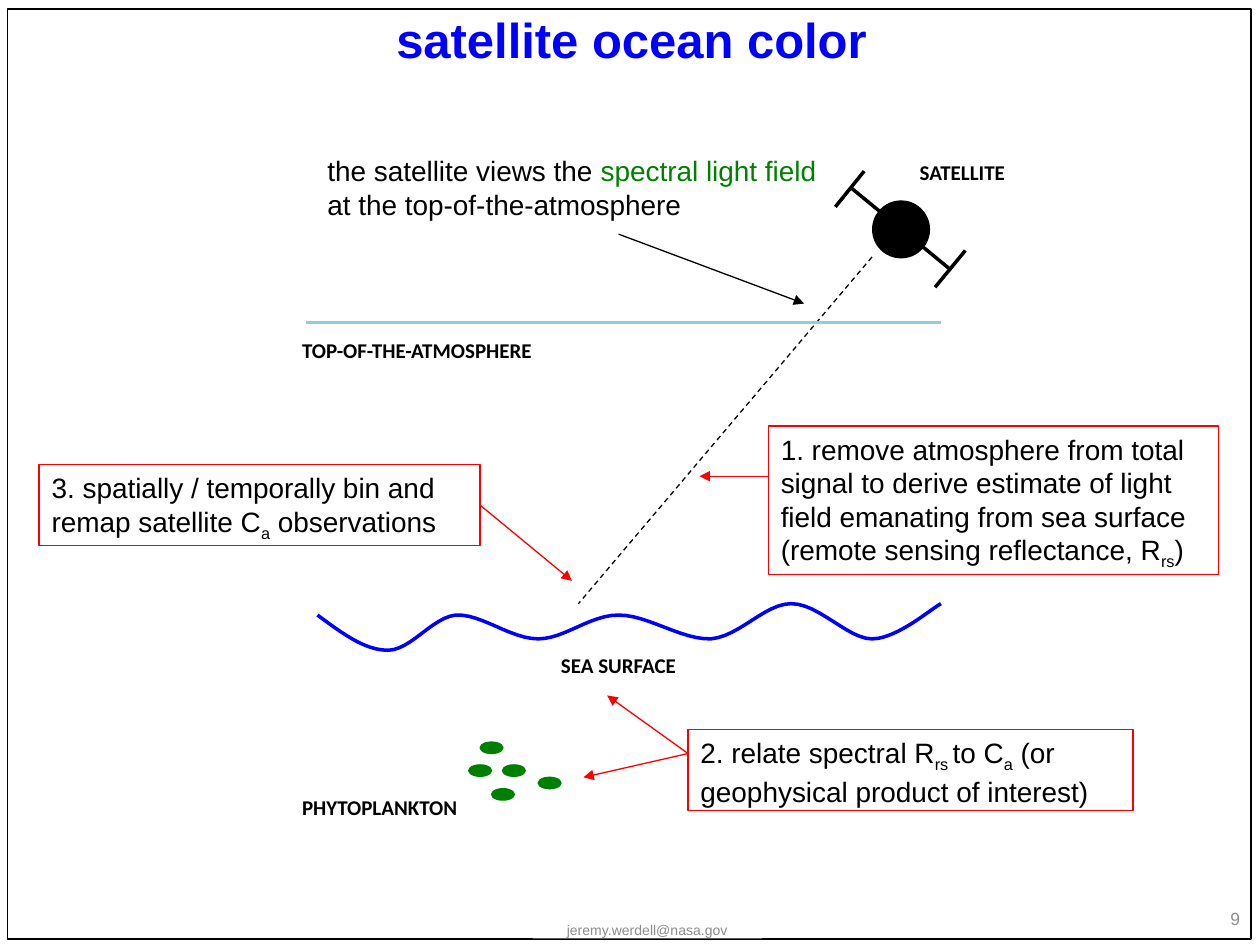
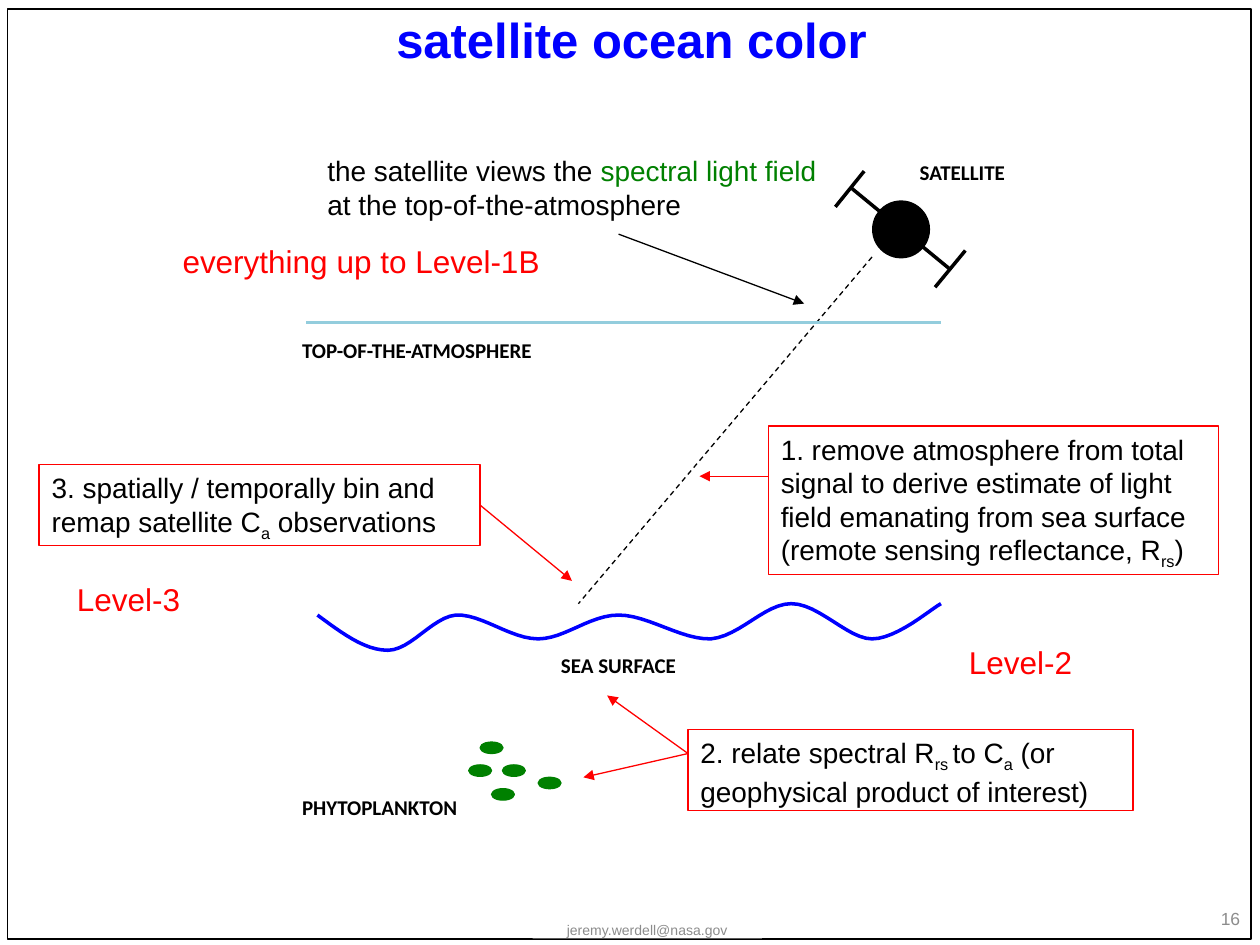
from dataclasses import dataclass

from lxml.etree import SubElement
from pptx import Presentation
from pptx.dml.color import RGBColor
from pptx.enum.dml import MSO_LINE
from pptx.enum.shapes import MSO_CONNECTOR, MSO_SHAPE
from pptx.enum.text import MSO_ANCHOR as ANCHOR, PP_ALIGN as ALIGN
from pptx.oxml.ns import qn
from pptx.util import Cm, Pt


@dataclass(frozen=True)
class Theme:
    black: str = "000000"
    white: str = "FFFFFF"
    blue: str = "0000FF"
    green: str = "008000"
    red: str = "FF0000"
    sky: str = "93CDDD"
    gray: str = "8C8C8C"
    font: str = "Arial"
    label_font: str = "Calibri"
    title_size: int = 28
    level_size: int = 18
    body_size: int = 16
    label_size: int = 12
    number_size: int = 10
    footer_size: int = 8
    thin: float = 0.75
    thick: float = 2


T = Theme()
RIGHT_SIDE = 3
CURVE_STEPS = 12

WAVE_START = (6.4, 12.4)
WAVE_CURVES = [
    ((6.88, 12.75), (7.34, 13.11), (7.82, 13.11)),
    ((8.28, 13.11), (8.71, 12.45), (9.19, 12.4)),
    ((9.7, 12.37), (10.29, 12.88), (10.85, 12.88)),
    ((11.38, 12.88), (11.89, 12.4), (12.47, 12.4)),
    ((13.06, 12.4), (13.74, 12.9), (14.33, 12.88)),
    ((14.91, 12.83), (15.42, 12.17), (15.95, 12.17)),
    ((16.51, 12.17), (17.09, 12.88), (17.58, 12.88)),
    ((18.08, 12.88), (18.75, 12.29), (18.97, 12.17)),
]
PHYTOPLANKTON = [(9.45, 15.42), (9.91, 15.9), (10.13, 15.42), (10.85, 15.67), (9.68, 14.96)]
SATELLITE_BARS = [
    ((17.15, 3.78), (19.13, 5.41)),
    ((17.42, 3.45), (16.84, 4.17)),
    ((19.46, 5.05), (18.85, 5.79)),
]
LABELS = [
    ("TOP-OF-THE-ATMOSPHERE", (5.84, 6.68, 6.86, 0.84), ALIGN.LEFT),
    ("SATELLITE", (18.29, 3.1, 3.25, 0.84), ALIGN.LEFT),
    ("PHYTOPLANKTON", (5.84, 15.9, 5.72, 0.84), ALIGN.LEFT),
    ("SEA SURFACE", (9.09, 13.03, 6.76, 0.84), ALIGN.CENTER),
]
LEVELS = [
    ("everything up to Level-1B", (3.43, 4.75, 8.79, 1.02)),
    ("Level-2", (19.28, 12.83, 2.87, 1.02)),
    ("Level-3", (1.3, 11.56, 2.87, 1.02)),
]


def rgb(color):
    return RGBColor.from_string(color)


def curve_points(start, curves):
    for c1, c2, end in curves:
        for step in range(1, CURVE_STEPS + 1):
            t = step / CURVE_STEPS
            u = 1 - t
            yield tuple(
                Cm(u**3 * a + 3 * u * u * t * b + 3 * u * t * t * c + t**3 * d)
                for a, b, c, d in zip(start, c1, c2, end)
            )
        start = end


class Deck:
    def __init__(self):
        self.prs = Presentation()
        self.prs.slide_width, self.prs.slide_height = Cm(25.4), Cm(19.05)
        self.s = None

    def slide(self, title, number):
        self.s = self.prs.slides.add_slide(self.prs.slide_layouts[5])
        self.shape((0.15, 0.18, 25.07, 18.75), line=T.black)
        footer = self.shape((10.74, 18.59, 4.62, 0.33), fill=T.white)
        footer.text_frame.margin_top = footer.text_frame.margin_bottom = 0
        self.set_text(footer, ["jeremy.werdell@nasa.gov"], T.footer_size, T.gray,
                      align=ALIGN.CENTER, anchor=ANCHOR.MIDDLE)
        self.text((24.13, 18.14, 1.12, 0.74), [number], T.number_size, T.gray,
                  align=ALIGN.RIGHT, anchor=ANCHOR.MIDDLE)
        sp = self.s.shapes.title
        sp.left, sp.top, sp.width, sp.height = map(Cm, (1.3, 0.23, 22.86, 1.12))
        self.set_text(sp, [title], T.title_size, T.blue, bold=True,
                      align=ALIGN.CENTER, anchor=ANCHOR.MIDDLE)

    def set_text(self, sp, runs, size, color=T.black, font=T.font, bold=False,
                 align=ALIGN.LEFT, anchor=ANCHOR.TOP):
        tf = sp.text_frame
        tf.word_wrap = True
        tf.vertical_anchor = anchor
        p = tf.paragraphs[0]
        p.alignment = align
        p.font.name, p.font.size, p.font.bold = font, Pt(size), bold
        p.font.color.rgb = rgb(color)
        for run in runs:
            text, style = (run, None) if isinstance(run, str) else run
            r = p.add_run()
            r.text = text
            if style == "sub":
                r.font._element.set("baseline", "-25000")
            elif style:
                r.font.color.rgb = rgb(style)

    def text(self, box, runs, size, *args, **style):
        sp = self.s.shapes.add_textbox(*map(Cm, box))
        self.set_text(sp, runs, size, *args, **style)

    def paint(self, sp, fill, line, weight):
        sp.shadow.inherit = False
        if fill:
            sp.fill.solid()
            sp.fill.fore_color.rgb = rgb(fill)
        else:
            sp.fill.background()
        if line:
            sp.line.color.rgb = rgb(line)
            sp.line.width = Pt(weight)
        else:
            sp.line.fill.background()

    def shape(self, box, kind=MSO_SHAPE.RECTANGLE, fill=None, line=None):
        sp = self.s.shapes.add_shape(kind, *map(Cm, box))
        self.paint(sp, fill, line, T.thin)
        return sp

    def curve(self, start, curves, color):
        builder = self.s.shapes.build_freeform(*map(Cm, start))
        builder.add_line_segments(curve_points(start, curves), close=False)
        self.paint(builder.convert_to_shape(), None, color, T.thick)

    def line(self, start, end, color=T.black, weight=T.thin, dashed=False, arrow=False):
        cx = self.s.shapes.add_connector(MSO_CONNECTOR.STRAIGHT, *map(Cm, start + end))
        cx.line.color.rgb = rgb(color)
        cx.line.width = Pt(weight)
        if dashed:
            cx.line.dash_style = MSO_LINE.DASH
        if arrow:
            SubElement(cx.line._get_or_add_ln(), qn("a:tailEnd"), type="triangle")
        SubElement(cx._element.spPr, qn("a:effectLst"))
        return cx

    def step(self, box, runs, start, *targets):
        sp = self.shape(box, line=T.red)
        self.set_text(sp, runs, T.body_size)
        return sp, [self.line(start, end, T.red, arrow=True) for end in targets]

    def ocean_color(self, number):
        self.slide("satellite ocean color", number)
        self.curve(WAVE_START, WAVE_CURVES, T.blue)
        self.shape((17.58, 4.04, 1.17, 1.17), MSO_SHAPE.OVAL, fill=T.black)
        for start, end in SATELLITE_BARS:
            self.line(start, end, weight=T.thick)
        self.line((17.58, 5.18), (11.66, 12.17), dashed=True)
        self.line((6.17, 6.5), (18.97, 6.5), T.sky, T.thick)
        for text, box, align in LABELS:
            self.text(box, [text], T.label_size, font=T.label_font, bold=True, align=align)
        self.text((6.35, 2.97, 10.4, 1.63),
                  ["the satellite views the ", ("spectral light field", T.green),
                   " at the top-of-the-atmosphere"], T.body_size)
        self.line((12.47, 4.72), (16.21, 6.12), arrow=True)
        for x, y in PHYTOPLANKTON:
            self.shape((x, y, 0.46, 0.23), MSO_SHAPE.OVAL, T.green, T.green)
        self.step((15.49, 8.59, 9.07, 3),
                  ["1. remove atmosphere from total signal to derive estimate of light field "
                   "emanating from sea surface (remote sensing reflectance, R", ("rs", "sub"), ")"],
                  (15.49, 9.6), (14.1, 9.6))
        self.step((13.87, 14.71, 8.97, 1.63),
                  ["2. relate spectral R", ("rs ", "sub"), "to C", ("a", "sub"),
                   " (or geophysical product of interest)"],
                  (13.87, 15.19), (12.24, 14.02), (11.76, 15.67))
        sp, (arrow,) = self.step((0.79, 9.37, 8.89, 1.63),
                                 ["3. spatially / temporally bin and remap satellite C",
                                  ("a", "sub"), " observations"],
                                 (9.68, 10.19), (11.53, 11.71))
        arrow.begin_connect(sp, RIGHT_SIDE)

    def levels(self):
        for text, box in LEVELS:
            self.text(box, [text], T.level_size, T.red)


def main():
    deck = Deck()
    deck.ocean_color("9")
    deck.ocean_color("16")
    deck.levels()
    deck.prs.save("out.pptx")


if __name__ == "__main__":
    main()
